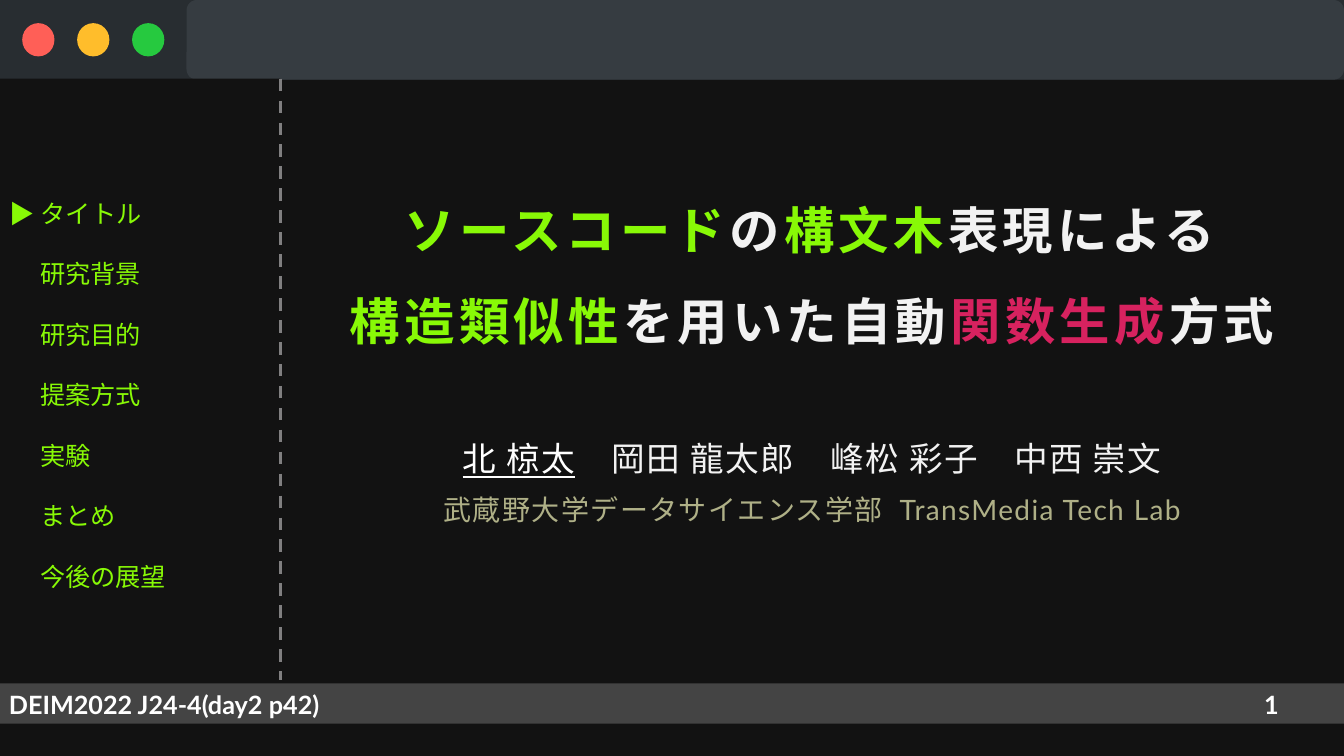
from pptx import Presentation
from pptx.dml.color import RGBColor
from pptx.enum import dml, shapes, text
from pptx.util import Inches, Pt

FONT = "Lato"
GREEN, PALE, WHITE, PINK, OLIVE = "88F906", "F2F2F2", "FFFFFF", "D7225F", "AFB087"
DARK, FOOTER, BAR, TAB = "121212", "444444", "282D31", "363C41"

WINDOW_BUTTONS = ["FF5F57", "FFBD2B", "26C93F"]
TITLE = [
    [("ソースコード", GREEN), ("の", PALE), ("構文木", GREEN), ("表現による", PALE)],
    [("構造類似性", GREEN), ("を用いた自動", PALE), ("関数生成", PINK), ("方式", PALE)],
]
PRESENTER = "北 椋太"
COAUTHORS = "　岡田 龍太郎　峰松 彩子　中西 崇文"
AFFILIATION = "武蔵野大学データサイエンス学部  TransMedia Tech Lab"
MENU = ["タイトル", "研究背景", "研究目的", "提案方式", "実験", "まとめ", "今後の展望"]
CURRENT = "タイトル"
EVENT = "DEIM2022\u00a0J24-4(day2 p42)"
PAGE_NUMBER = "1"

WIDTH, HEIGHT = 13.33, 7.5
BAR_HEIGHT = 0.79
MENU_WIDTH, MENU_TOP, MENU_BOTTOM = 2.78, 0.78, 6.75
MAIN_WIDTH = 10.55


def color(value):
    return RGBColor.from_string(value)


def add_block(page, kind, left, top, width, height, fill):
    block = page.shapes.add_shape(
        kind, Inches(left), Inches(top), Inches(width), Inches(height))
    block.shadow.inherit = False
    block.fill.solid()
    block.fill.fore_color.rgb = color(fill)
    block.line.fill.background()
    return block


def add_box(page, left, top, width, height, anchor=text.MSO_ANCHOR.MIDDLE):
    box = page.shapes.add_textbox(
        Inches(left), Inches(top), Inches(width), Inches(height))
    box.text_frame.word_wrap = True
    box.text_frame.vertical_anchor = anchor
    return box.text_frame


def set_font(font, size, fill=None, bold=None):
    font.name = FONT
    font.size = Pt(size)
    font.bold = bold
    if fill:
        font.color.rgb = color(fill)


def add_spaced_run(para, wording, fill, spacing):
    """Add a run whose letters stand apart by spacing points."""
    span = para.add_run()
    span.text = wording
    span.font.color.rgb = color(fill)
    span.font._element.set("spc", str(spacing * 100))
    return span


def add_main_box(page, top, height):
    frame = add_box(page, MENU_WIDTH, top, MAIN_WIDTH, height)
    frame.margin_left = frame.margin_right = frame.margin_top = Inches(0.12)
    frame.margin_bottom = Inches(0.1)
    return frame


def add_window(page):
    kinds = shapes.MSO_SHAPE
    add_block(page, kinds.RECTANGLE, 0, 6.78, WIDTH, 0.4, FOOTER)
    add_block(page, kinds.RECTANGLE, 0, 0, WIDTH, BAR_HEIGHT, BAR)
    for index, fill in enumerate(WINDOW_BUTTONS):
        add_block(page, kinds.OVAL, 0.22 + 0.545 * index, 0.23, 0.32, 0.33, fill)
    tab = add_block(page, kinds.ROUNDED_RECTANGLE, 1.85, 0, 11.48, BAR_HEIGHT, TAB)
    tab.adjustments[0] = 0.13


def add_title(page):
    para = add_main_box(page, 1.39, 2.36).paragraphs[0]
    para.alignment = text.PP_ALIGN.CENTER
    para.line_spacing = 1.5
    set_font(para.font, 36, bold=True)
    for index, line in enumerate(TITLE):
        if index:
            para.add_line_break()
        for wording, fill in line:
            add_spaced_run(para, wording, fill, 3)


def add_authors(page):
    frame = add_main_box(page, 3.75, 1.65)
    names, affiliation = frame.paragraphs[0], frame.add_paragraph()
    for para, size in ((names, 24), (affiliation, 20)):
        para.alignment = text.PP_ALIGN.CENTER
        para.space_before = Pt(10)
        set_font(para.font, size)
    names.line_spacing = 2.0
    add_spaced_run(names, PRESENTER, WHITE, 1).font.underline = True
    add_spaced_run(names, COAUTHORS, PALE, 1)
    add_spaced_run(affiliation, AFFILIATION, OLIVE, 1)


def add_menu(page):
    panel = add_block(page, shapes.MSO_SHAPE.RECTANGLE, 0, MENU_TOP,
                      MENU_WIDTH, MENU_BOTTOM - MENU_TOP, DARK)
    frame = panel.text_frame
    frame.vertical_anchor = text.MSO_ANCHOR.MIDDLE
    for index, item in enumerate(MENU):
        para = frame.add_paragraph() if index else frame.paragraphs[0]
        para.alignment = text.PP_ALIGN.LEFT
        para.line_spacing = 2.0
        set_font(para.font, 18, GREEN)
        if item == CURRENT:
            para.text = "▶\ufe0e " + item
        else:
            para.text = item
            para._p.get_or_add_pPr().set("marL", str(Inches(0.3)))

    divider = page.shapes.add_connector(
        shapes.MSO_CONNECTOR.STRAIGHT, Inches(MENU_WIDTH), Inches(MENU_TOP),
        Inches(MENU_WIDTH), Inches(MENU_BOTTOM))
    divider.line.color.rgb = color("807F80")
    divider.line.width = Pt(2.25)
    divider.line.dash_style = dml.MSO_LINE.DASH
    properties = divider._element.spPr
    properties.append(properties.makeelement(
        "{http://schemas.openxmlformats.org/drawingml/2006/main}effectLst", {}))


def add_footer(page):
    event = add_box(page, -0.01, 6.79, 6.68, 0.4, text.MSO_ANCHOR.TOP).paragraphs[0]
    number = add_box(page, 11.88, 6.79, 1.46, 0.4).paragraphs[0]
    number.alignment = text.PP_ALIGN.CENTER
    for para, wording in ((event, EVENT), (number, PAGE_NUMBER)):
        para.text = wording
        set_font(para.font, 18, WHITE, bold=True)


def main():
    deck = Presentation()
    deck.slide_width, deck.slide_height = Inches(WIDTH), Inches(HEIGHT)
    page = deck.slides.add_slide(deck.slide_layouts[6])
    page.background.fill.solid()
    page.background.fill.fore_color.rgb = color(DARK)
    add_window(page)
    add_title(page)
    add_authors(page)
    add_menu(page)
    add_footer(page)
    deck.save("out.pptx")


if __name__ == "__main__":
    main()
